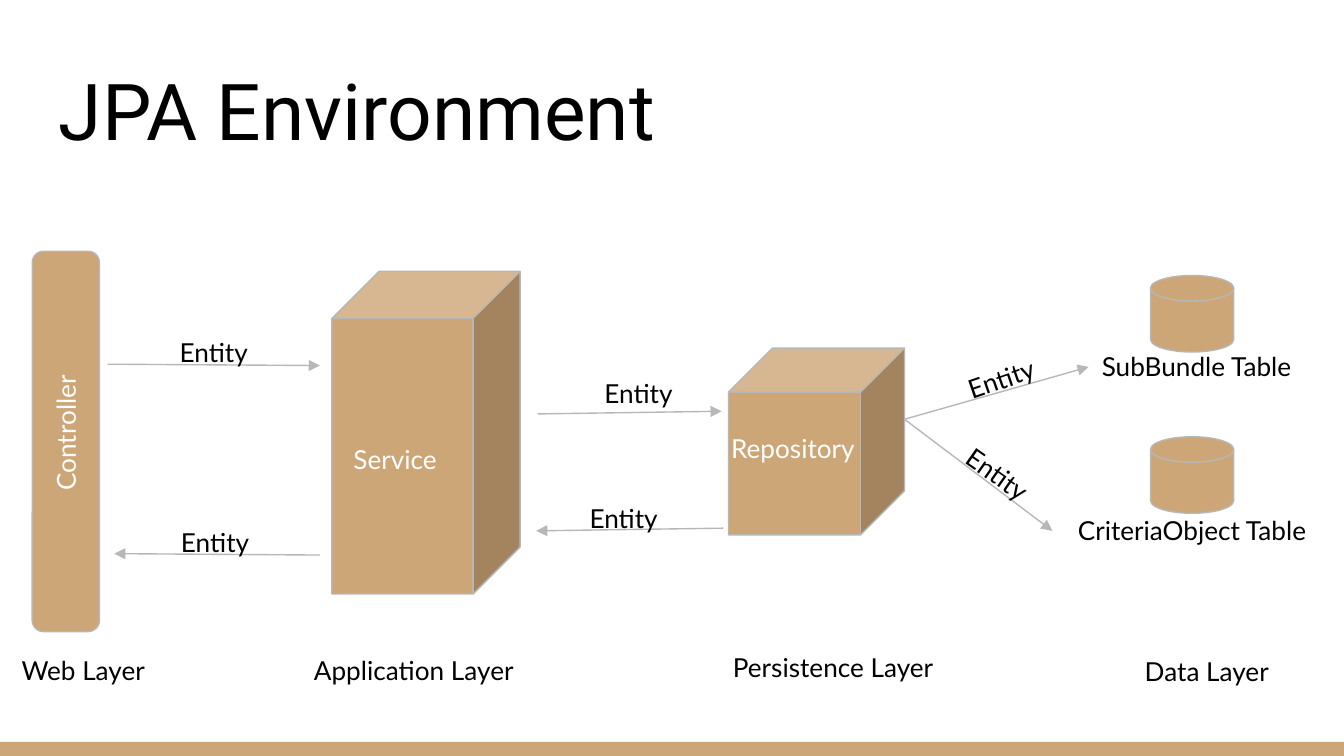
from lxml import etree
from pptx import Presentation
from pptx.dml.color import RGBColor
from pptx.enum.shapes import MSO_CONNECTOR as Connector, MSO_SHAPE as Shape
from pptx.enum.text import MSO_ANCHOR as Anchor, PP_ALIGN as Align
from pptx.oxml.ns import qn
from pptx.util import Inches, Pt

TAN = RGBColor(0xCC, 0xA6, 0x77)
GREY = RGBColor(0xB7, 0xB7, 0xB7)
BLACK = RGBColor(0, 0, 0)
WHITE = RGBColor(0xFF, 0xFF, 0xFF)

SLIDE_WIDTH = 10
SLIDE_HEIGHT = SLIDE_WIDTH * 9 / 16
LABEL_HEIGHT = 0.44
ENTITY_WIDTH = 0.92


def write_text(shape, text, *, font="Lato", size=14, color=BLACK,
               align=Align.CENTER, anchor=Anchor.TOP):
    frame = shape.text_frame
    frame.word_wrap = True
    frame.vertical_anchor = anchor
    frame.margin_left = frame.margin_right = Inches(0.1)
    frame.margin_top = frame.margin_bottom = Inches(0.1)
    paragraph = frame.paragraphs[0]
    paragraph.alignment = align
    run = paragraph.add_run()
    run.text = text
    run.font.name = font
    run.font.size = Pt(size)
    run.font.color.rgb = color


class Diagram:
    """Holds the current slide and the style of its elements."""

    fill = TAN
    line = GREY
    line_width = Pt(0.75)

    def __init__(self, slide):
        self.slide = slide

    def block(self, kind, left, top, width, height, outlined=True):
        shape = self.slide.shapes.add_shape(
            kind, Inches(left), Inches(top), Inches(width), Inches(height))
        shape.shadow.inherit = False
        shape.fill.solid()
        shape.fill.fore_color.rgb = self.fill
        if outlined:
            shape.line.color.rgb = self.line
            shape.line.width = self.line_width
        else:
            shape.line.fill.background()

    def label(self, text, left, top, width, height=LABEL_HEIGHT, rotation=0, **style):
        box = self.slide.shapes.add_textbox(
            Inches(left), Inches(top), Inches(width), Inches(height))
        box.rotation = rotation
        write_text(box, text, **style)

    def arrow(self, start, end):
        points = [Inches(value) for value in (*start, *end)]
        connector = self.slide.shapes.add_connector(Connector.STRAIGHT, *points)
        connector.line.color.rgb = self.line
        connector.line.width = self.line_width
        properties = connector._element.spPr
        etree.SubElement(properties.find(qn("a:ln")), qn("a:tailEnd"), type="triangle")
        etree.SubElement(properties, qn("a:effectLst"))


def main():
    presentation = Presentation()
    presentation.slide_width = Inches(SLIDE_WIDTH)
    presentation.slide_height = Inches(SLIDE_HEIGHT)
    diagram = Diagram(presentation.slides.add_slide(presentation.slide_layouts[6]))

    diagram.block(Shape.RECTANGLE, 0, 5.52, SLIDE_WIDTH, 0.11, outlined=False)
    diagram.label("JPA Environment", 0.34, 0.35, 9.32, 0.91, font="Roboto", size=42,
                  align=Align.LEFT, anchor=Anchor.BOTTOM)

    diagram.block(Shape.ROUNDED_RECTANGLE, 0.24, 1.87, 0.5, 2.83)
    diagram.label("Controller", -0.99, 3, 2.96, rotation=270, color=WHITE)

    for top in (2.05, 3.25):
        diagram.block(Shape.FLOWCHART_MAGNETIC_DISK, 8.56, top, 0.62, 0.57)
    diagram.label("SubBundle Table", 8.1, 2.51, 1.63, align=Align.LEFT)
    diagram.label("CriteriaObject Table", 7.83, 3.73, 2.08)

    diagram.block(Shape.CUBE, 2.47, 2.02, 1.4, 2.4)
    diagram.block(Shape.CUBE, 5.42, 2.59, 1.31, 1.39)
    diagram.label("Service", 1.9, 3.2, 2.08, color=WHITE)
    diagram.label("Repository", 4.86, 3.12, 2.08, color=WHITE)

    repository_side = (6.73, 3.12)
    for start, end in (
        (repository_side, (8.1, 2.73)),
        (repository_side, (7.83, 3.95)),
        ((5.38, 3.93), (3.99, 3.95)),
        ((0.8, 2.71), (2.38, 2.72)),
        ((2.38, 4.13), (0.85, 4.12)),
        ((4, 3.08), (5.37, 3.06)),
    ):
        diagram.arrow(start, end)

    for left, top, rotation in (
        (4.18, 3.64, 0),
        (4.29, 2.71, 0),
        (6.99, 2.6, 341),
        (6.96, 3.31, 35.1),
        (1.13, 2.4, 0),
        (1.14, 3.82, 0),
    ):
        diagram.label("Entity", left, top, ENTITY_WIDTH, rotation=rotation)

    for layer, left, top, width in (
        ("Web", 0, 4.77, 1.24),
        ("Application", 2.06, 4.77, 2.04),
        ("Persistence", 5.18, 4.75, 2.04),
        ("Data", 7.96, 4.78, 2.04),
    ):
        diagram.label(f"{layer} Layer", left, top, width)

    presentation.save("out.pptx")


if __name__ == "__main__":
    main()
